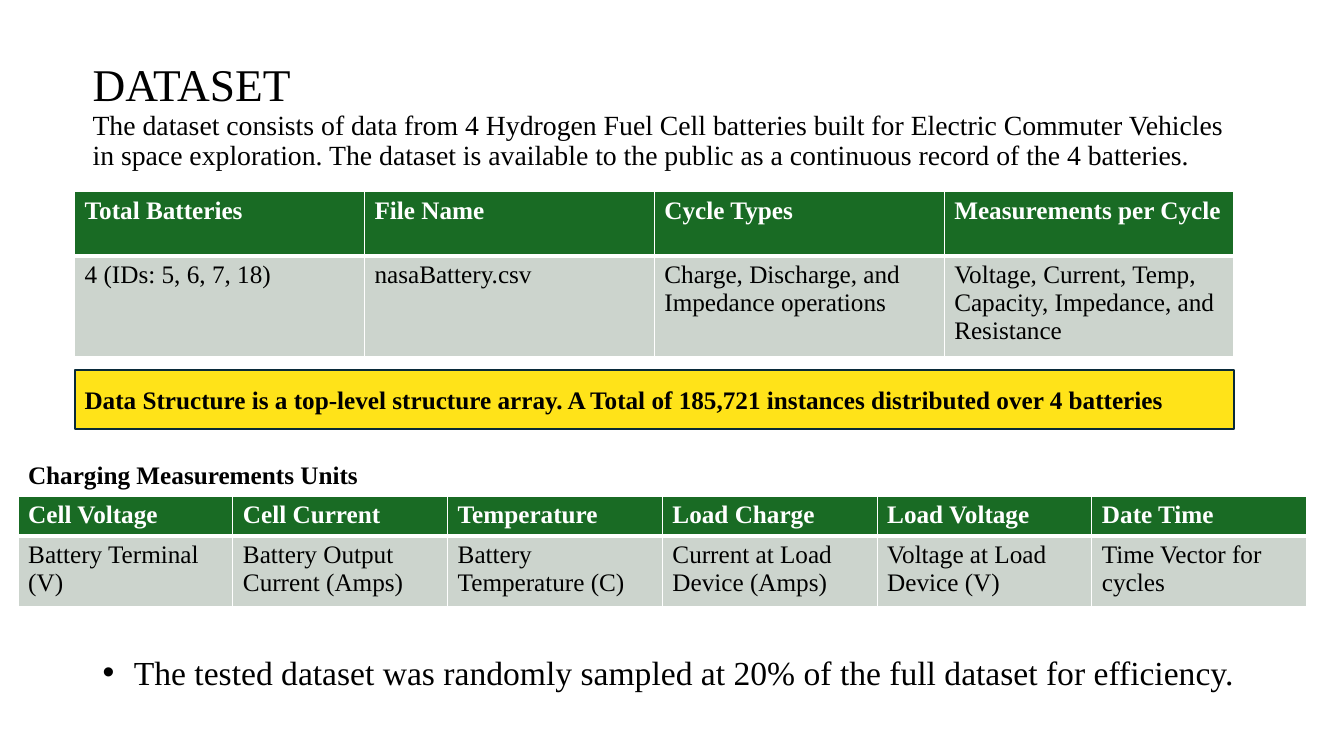
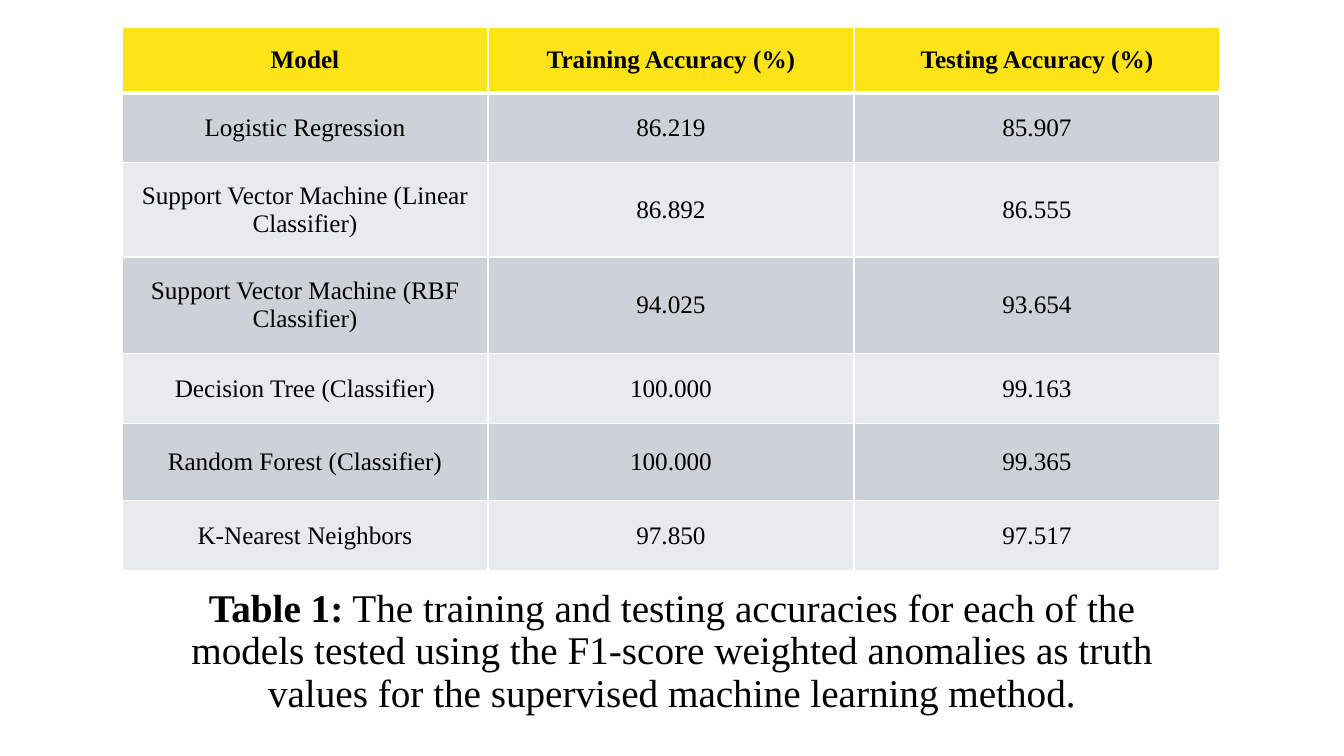
from lxml import etree
from pptx import Presentation
from pptx.dml.color import RGBColor
from pptx.enum.shapes import MSO_SHAPE
from pptx.enum.text import MSO_ANCHOR, PP_ALIGN
from pptx.oxml.ns import qn
from pptx.util import Inches, Pt

RECTANGLE = MSO_SHAPE.RECTANGLE
TOP, MIDDLE = MSO_ANCHOR.TOP, MSO_ANCHOR.MIDDLE
LEFT, CENTER = PP_ALIGN.LEFT, PP_ALIGN.CENTER

# Shared style
FONT = "Times New Roman"
BLACK = RGBColor(0x00, 0x00, 0x00)
WHITE = RGBColor(0xFF, 0xFF, 0xFF)
GREEN = RGBColor(0x19, 0x6B, 0x24)
PALE_GREEN = RGBColor(0xCC, 0xD4, 0xCD)
YELLOW = RGBColor(0xFF, 0xE3, 0x19)
NAVY = RGBColor(0x09, 0x2A, 0x39)
GREY = RGBColor(0xCC, 0xD2, 0xD8)
PALE_GREY = RGBColor(0xE8, 0xEA, 0xED)


def write(tf, *runs, size=18, color=BLACK, bold=False, align=LEFT,
          anchor=TOP, spacing=None, bullet=None):
    """Fill a text frame; a run is text or (text, size, bold), "\\n" a line break."""
    tf.word_wrap = True
    tf.vertical_anchor = anchor
    p = tf.paragraphs[0]
    p.alignment = align
    if spacing:
        p.line_spacing = spacing
    if bullet:
        pPr = p._p.get_or_add_pPr()
        pPr.set("marL", str(Inches(0.31)))
        pPr.set("indent", str(-Inches(0.31)))
        etree.SubElement(pPr, qn("a:buFont"), typeface="Arial")
        etree.SubElement(pPr, qn("a:buChar"), char=bullet)
    for run in runs:
        if run == "\n":
            p.add_line_break()
            continue
        text, run_size, run_bold = (run, size, bold) if isinstance(run, str) else run
        r = p.add_run()
        r.text = text
        r.font.name = FONT
        r.font.size = Pt(run_size)
        r.font.bold = run_bold
        r.font.color.rgb = color


def add_text(slide, box, *runs, **fmt):
    sp = slide.shapes.add_textbox(*map(Inches, box))
    write(sp.text_frame, *runs, **fmt)


def add_banner(slide, box, text):
    sp = slide.shapes.add_shape(RECTANGLE, *map(Inches, box))
    sp.shadow.inherit = False
    sp.fill.solid()
    sp.fill.fore_color.rgb = YELLOW
    sp.line.color.rgb = NAVY
    sp.line.width = Pt(1.5)
    write(sp.text_frame, text, bold=True, anchor=MIDDLE)


def set_borders(cell, bottom, top):
    """Draw white rules around a cell, widths in points."""
    tcPr = cell._tc.get_or_add_tcPr()
    for side, width in (("L", 1), ("R", 1), ("T", top), ("B", bottom)):
        ln = etree.SubElement(tcPr, qn(f"a:ln{side}"), w=str(Pt(width)))
        fill = etree.SubElement(ln, qn("a:solidFill"))
        etree.SubElement(fill, qn("a:srgbClr"), val=str(WHITE))


def add_table(slide, left, top, width, heights, rows, head_fill, band_fills,
              head_color=WHITE, **fmt):
    """Equal columns, a bold header row and body rows in alternating fills."""
    cols = len(rows[0])
    table = slide.shapes.add_table(len(rows), cols, Inches(left), Inches(top),
                                   Inches(width), Inches(sum(heights))).table
    for col in table.columns:
        col.width = Inches(width / cols)
    for i, (height, values) in enumerate(zip(heights, rows)):
        table.rows[i].height = Inches(height)
        head = i == 0
        for j, value in enumerate(values):
            cell = table.cell(i, j)
            set_borders(cell, bottom=3 if head else 1, top=3 if i == 1 else 1)
            cell.fill.solid()
            cell.fill.fore_color.rgb = (
                head_fill if head else band_fills[(i - 1) % len(band_fills)])
            cell.vertical_anchor = fmt.get("anchor", TOP)
            write_cell(cell, value, head, head_color, fmt.get("align", LEFT))


def write_cell(cell, value, head, head_color, align):
    anchor = cell.vertical_anchor
    write(cell.text_frame, value, bold=head, align=align,
          color=head_color if head else BLACK)
    # The frame's own anchor does not apply inside a table
    cell.text_frame.vertical_anchor = None
    cell.vertical_anchor = anchor


def dataset_slide(slide):
    left, width = 0.74, 11.5
    # Title and introduction
    add_text(slide, (0.82, 0.42, width, 1.48),
             ("DATASET", 32.4, False), "\n",
             "The dataset consists of data from 4 Hydrogen Fuel Cell batteries built "
             "for Electric Commuter Vehicles in space exploration. The dataset is "
             "available to the public as a continuous record of the 4 batteries.",
             size=19.8, anchor=MIDDLE, spacing=0.9)
    # Overview
    add_table(slide, left, 1.9, width, (0.64, 0.93), [
        ("Total Batteries", "File Name", "Cycle Types", "Measurements per Cycle"),
        ("4 (IDs: 5, 6, 7, 18)", "nasaBattery.csv",
         "Charge, Discharge, and Impedance operations",
         "Voltage, Current, Temp, Capacity, Impedance, and Resistance"),
    ], GREEN, [PALE_GREEN])
    add_banner(slide, (left, 3.67, width, 0.59),
               "Data Structure is a top-level structure array. A Total of 185,721 "
               "instances distributed over 4 batteries")
    # Units
    add_text(slide, (0.18, 4.51, 4.23, 0.4), "Charging Measurements Units", bold=True)
    add_table(slide, 0.18, 4.92, 12.78, (0.4, 0.69), [
        ("Cell Voltage", "Cell Current", "Temperature", "Load Charge",
         "Load Voltage", "Date Time"),
        ("Battery Terminal (V)", "Battery Output Current (Amps)",
         "Battery Temperature (C)", "Current at Load Device (Amps)",
         "Voltage at Load Device (V)", "Time Vector for cycles"),
    ], GREEN, [PALE_GREEN])
    # Sampling note
    add_text(slide, (0.92, 6.42, width, 0.5),
             "The tested dataset was randomly sampled at 20% of the full dataset "
             "for efficiency.", size=24, bullet="•")


def accuracy_slide(slide):
    # Results
    add_table(slide, 1.21, 0.27, 10.89, (0.65, 0.69, 0.94, 0.96, 0.69, 0.77, 0.69), [
        ("Model", "Training Accuracy (%)", "Testing Accuracy (%)"),
        ("Logistic Regression", "86.219", "85.907"),
        ("Support Vector Machine (Linear Classifier)", "86.892", "86.555"),
        ("Support Vector Machine (RBF Classifier)", "94.025", "93.654"),
        ("Decision Tree (Classifier)", "100.000", "99.163"),
        ("Random Forest (Classifier)", "100.000", "99.365"),
        ("K-Nearest Neighbors", "97.850", "97.517"),
    ], YELLOW, [GREY, PALE_GREY], head_color=BLACK, align=CENTER, anchor=MIDDLE)
    # Caption
    add_text(slide, (1.65, 5.79, 10.03, 1.45), ("Table 1:", 28, True),
             " The training and testing accuracies for each of the models tested "
             "using the F1-score weighted anomalies as truth values for the "
             "supervised machine learning method.",
             size=28, align=CENTER, spacing=0.9)


def main():
    prs = Presentation()
    prs.slide_width, prs.slide_height = Inches(13.33), Inches(7.5)
    blank = prs.slide_layouts[6]
    for build in (dataset_slide, accuracy_slide):
        build(prs.slides.add_slide(blank))
    prs.save("out.pptx")


if __name__ == "__main__":
    main()
